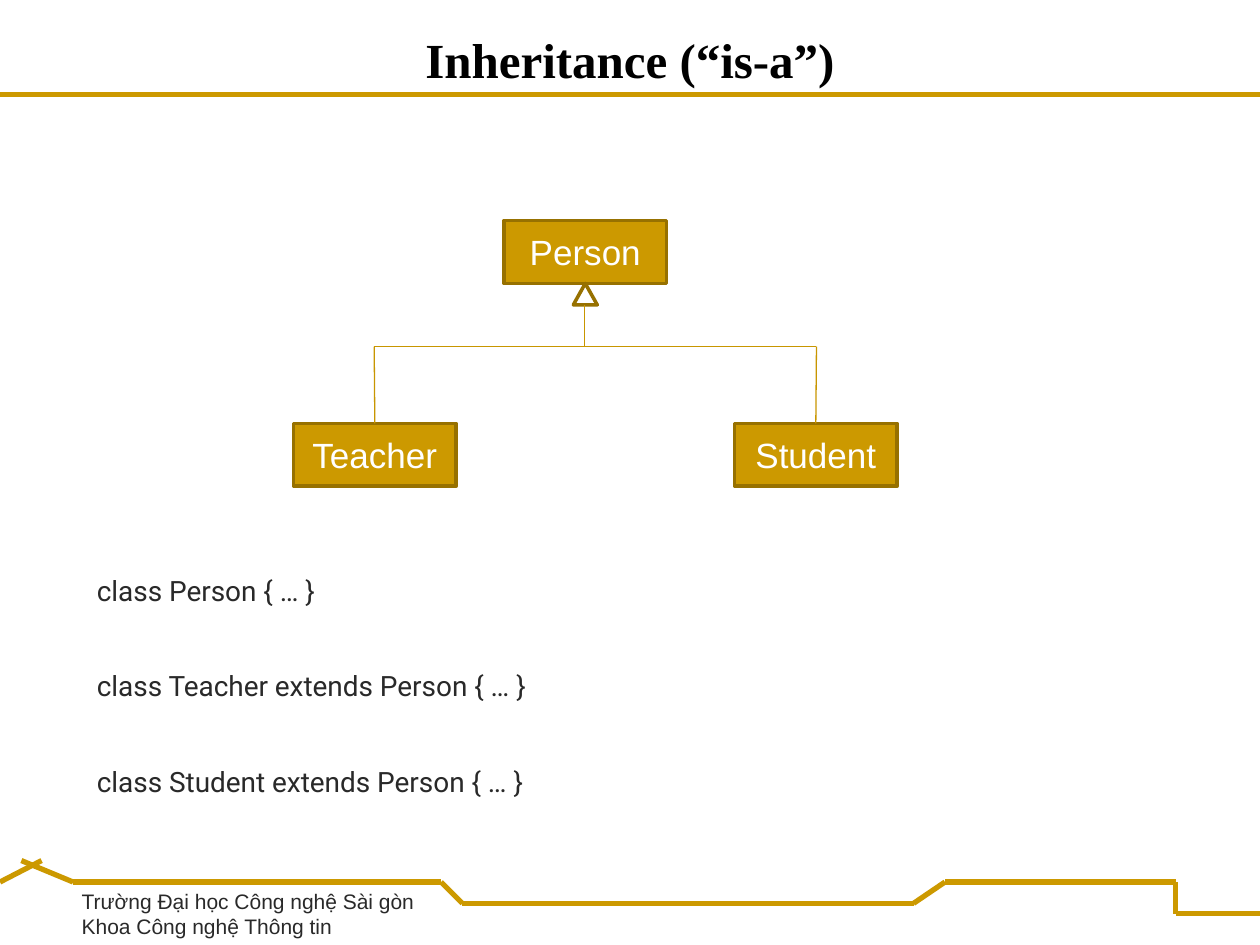
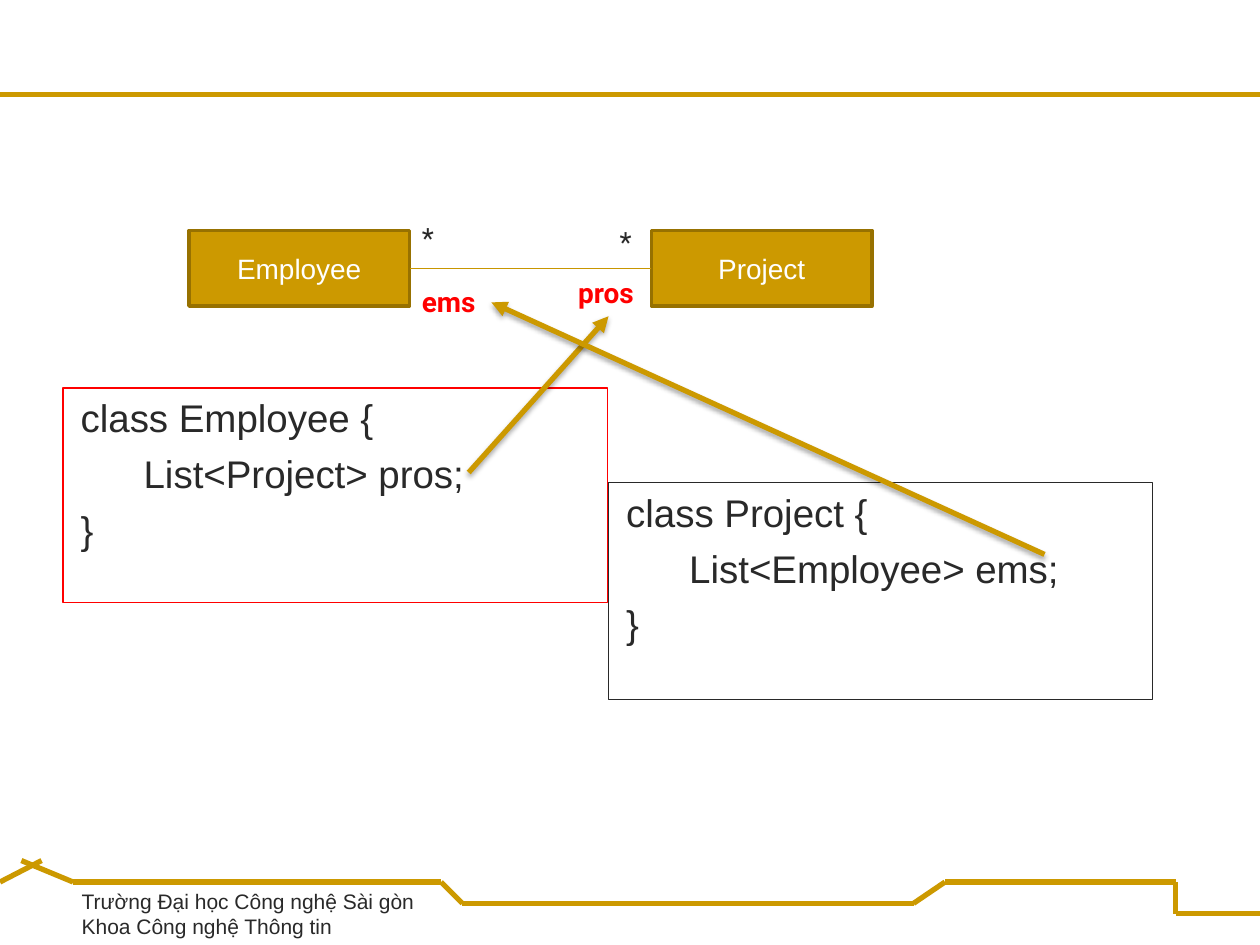
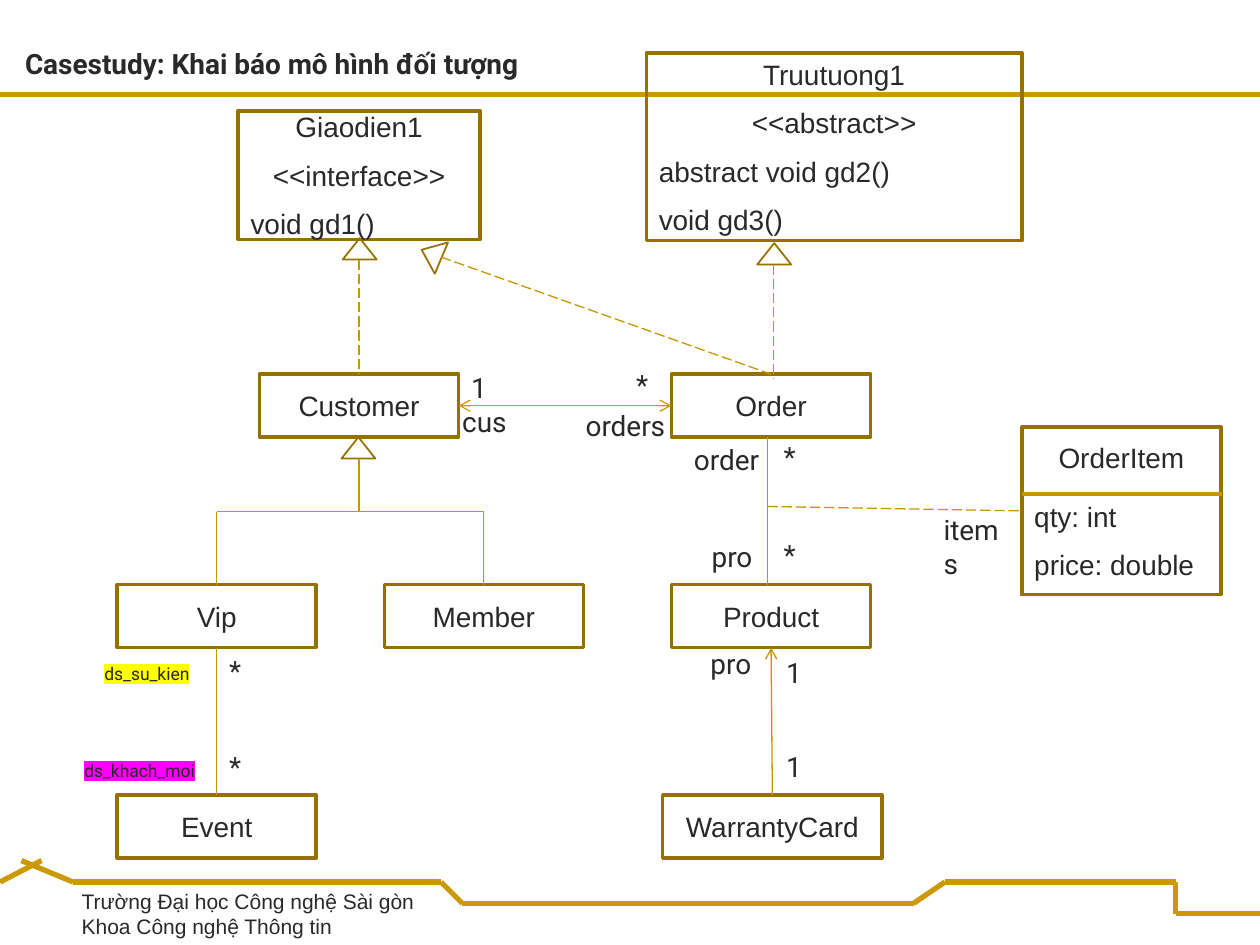
import itertools

import pptx
import pptx.dml.color
import pptx.enum.dml
import pptx.enum.shapes
import pptx.enum.text
import pptx.oxml
import pptx.oxml.ns
import pptx.util

Inches = pptx.util.Inches
Pt = pptx.util.Pt
rgb = pptx.dml.color.RGBColor.from_string
qn = pptx.oxml.ns.qn
Shape = pptx.enum.shapes.MSO_SHAPE
Align = pptx.enum.text.PP_ALIGN
Anchor = pptx.enum.text.MSO_ANCHOR
AutoSize = pptx.enum.text.MSO_AUTO_SIZE

GOLD, DARK_GOLD, LINE_GOLD = "CC9900", "977100", "C89600"
TEXT, WHITE, RED, BLACK = "292929", "FFFFFF", "FF0000", "000000"
NAMESPACE = pptx.oxml.ns.nsdecls("a")
SHADOW = (f'<a:outerShdw {NAMESPACE} blurRad="39370" dist="22860" dir="5400000" rotWithShape="0">'
          '<a:srgbClr val="000000"><a:alpha val="35000"/></a:srgbClr></a:outerShdw>')


def add_box(slide, place, text="", kind=None, fill=None, line=DARK_GOLD, line_width=2,
            size=16, font="Arial", color=TEXT, bold=False, align=Align.CENTER,
            anchor=Anchor.MIDDLE, gap=8.5, wrap=True):
    """Add a preset shape, or a text box when no kind is given."""
    lengths = [Inches(value) for value in place]
    if kind is None:
        shape = slide.shapes.add_textbox(*lengths)
    else:
        shape = slide.shapes.add_shape(kind, *lengths)
        shape.shadow.inherit = False
        shape.line.color.rgb = rgb(line)
        shape.line.width = Pt(line_width)
        if fill:
            shape.fill.solid()
            shape.fill.fore_color.rgb = rgb(fill)
        else:
            shape.fill.background()
    text_frame = shape.text_frame
    text_frame.text = text
    text_frame.word_wrap = wrap
    text_frame.vertical_anchor = anchor
    for index, paragraph in enumerate(text_frame.paragraphs):
        paragraph.alignment = align
        if index:
            paragraph.space_before = Pt(gap)
        for run in paragraph.runs:
            run.font.size = Pt(size)
            run.font.name = font
            run.font.bold = bold
            run.font.color.rgb = rgb(color)
    return shape


def add_line(slide, start, end, color=LINE_GOLD, width=0.75, dashed=False,
             head=None, tail=None, shadow=False):
    """Add a straight line; each end is a point (x, y) or a joint (shape, site)."""
    connector = slide.shapes.add_connector(pptx.enum.shapes.MSO_CONNECTOR.STRAIGHT, 0, 0, 0, 0)
    if isinstance(start[0], (int, float)):
        connector.begin_x, connector.begin_y = map(Inches, start)
    else:
        connector.begin_connect(*start)
    if isinstance(end[0], (int, float)):
        connector.end_x, connector.end_y = map(Inches, end)
    else:
        connector.end_connect(*end)
    connector.line.color.rgb = rgb(color)
    connector.line.width = Pt(width)
    if dashed:
        connector.line.dash_style = pptx.enum.dml.MSO_LINE.LONG_DASH
    outline = connector.line._get_or_add_ln()
    for tag, arrow in (("headEnd", head), ("tailEnd", tail)):
        if arrow:
            outline.append(pptx.oxml.parse_xml(f'<a:{tag} {NAMESPACE} type="{arrow}"/>'))
    effects = pptx.oxml.parse_xml(f"<a:effectLst {NAMESPACE}/>")
    if shadow:
        effects.append(pptx.oxml.parse_xml(SHADOW))
    connector._element.spPr.append(effects)
    return connector


presentation = pptx.Presentation()
presentation.slide_width, presentation.slide_height = Inches(10), Inches(7.5)

# Frame shared by all slides: title rule, footer band and school name
BAND = [(0.17, 6.83), (0.58, 7), (3.5, 7), (3.67, 7.17), (7.25, 7.17),
        (7.5, 7), (9.33, 7), (9.33, 7.25), (10, 7.25)]
FRAME = [((0, 0.75), (10, 0.75)), ((0, 7), (0.33, 6.83)), *itertools.pairwise(BAND)]
for _ in range(3):
    slide = presentation.slides.add_slide(presentation.slide_layouts[6])
    for start, end in FRAME:
        add_line(slide, start, end, GOLD, 3)
    add_box(slide, (0.55, 7, 2.84, 0.5),
            "Trường Đại học Công nghệ Sài gòn\nKhoa Công nghệ Thông tin",
            size=12, align=Align.LEFT, anchor=Anchor.TOP, gap=0, wrap=False)
inheritance, association, casestudy = presentation.slides

label = dict(font="Roboto", align=Align.LEFT, anchor=Anchor.TOP, wrap=False)

# Slide 1: inheritance tree
add_box(inheritance, (0, 0.04, 10, 0.71), "Inheritance (“is-a”)", size=28,
        font="Times New Roman", color=BLACK, bold=True, anchor=Anchor.BOTTOM)
classes = {}
for name, left, top in (("Person", 4, 1.75), ("Teacher", 2.33, 3.36), ("Student", 5.83, 3.36)):
    classes[name] = add_box(inheritance, (left, top, 1.29, 0.5), name, Shape.RECTANGLE,
                            GOLD, size=20, color=WHITE)
add_line(inheritance, (2.97, 2.75), (6.48, 2.75))
add_line(inheritance, (2.97, 2.75), (classes["Teacher"], 0))
add_line(inheritance, (6.48, 2.75), (classes["Student"], 0))
add_box(inheritance, (4.55, 2.25, 0.19, 0.17), kind=Shape.ISOSCELES_TRIANGLE)
add_line(inheritance, (4.64, 2.42), (4.64, 2.75))
add_box(inheritance, (0.67, 4.5, 8.5, 1.62),
        "class Person { … }\nclass Teacher extends Person { … }\n"
        "class Student extends Person { … }",
        font="Roboto", align=Align.LEFT, anchor=Anchor.TOP, gap=35.5)

# Slide 2: many-to-many association
code_boxes = [
    ((0.5, 3.08, 4.32, 1.7), RED, "class Employee {\n\tList<Project> pros;\n}"),
    ((4.83, 3.83, 4.32, 1.72), TEXT, "class Project {\n\tList<Employee> ems;\n}"),
]
for place, outline_color, code in code_boxes:
    code_box = add_box(association, place, code, Shape.RECTANGLE, line=outline_color,
                       line_width=0.75, size=22, align=Align.LEFT, anchor=Anchor.TOP, gap=5.5)
    code_box.text_frame.margin_left = Inches(0.14)
employee, project = [
    add_box(association, (left, 1.83, 1.75, 0.6), name, Shape.RECTANGLE, GOLD, color=WHITE)
    for name, left in (("Employee", 1.5), ("Project", 5.17))]
add_line(association, (project, 1), (employee, 3))
for text, place, color in (
        ("*", (3.25, 1.7, 0.29, 0.37), TEXT), ("*", (4.82, 1.73, 0.29, 0.37), TEXT),
        ("ems", (3.25, 2.21, 0.65, 0.37), RED), ("pros", (4.49, 2.14, 0.69, 0.37), RED)):
    add_box(association, place, text, color=color, bold=color == RED, **label)
for start, end in (((3.72, 3.75), (4.83, 2.51)), ((8.29, 4.4), (3.9, 2.4))):
    add_line(association, start, end, GOLD, 3, tail="triangle", shadow=True)

# Slide 3: class boxes
classes = {}
for name, left, top, width in (
        ("Vip", 0.93, 4.64, 1.58), ("Customer", 2.06, 2.97, 1.58), ("Order", 5.33, 2.97, 1.58),
        ("Member", 3.05, 4.64, 1.58), ("Product", 5.33, 4.64, 1.58),
        ("Event", 0.93, 6.31, 1.58), ("WarrantyCard", 5.26, 6.31, 1.74)):
    classes[name] = add_box(casestudy, (left, top, width, 0.5), name, Shape.RECTANGLE)

# Boxes with members: the heading lines are centred, the members left-aligned
for name, place, text, heading_count in (
        ("OrderItem", (8.11, 3.39, 1.58, 1.33), "OrderItem\nqty: int\nprice: double", 1),
        ("Truutuong1", (5.13, 0.42, 2.98, 1.49),
         "Truutuong1\n<<abstract>>\nabstract void gd2()\nvoid gd3()", 2),
        ("Giaodien1", (1.89, 0.88, 1.92, 1.02), "Giaodien1\n<<interface>>\nvoid gd1()", 2)):
    classes[name] = add_box(casestudy, place, text, Shape.RECTANGLE)
    for paragraph in classes[name].text_frame.paragraphs[heading_count:]:
        paragraph.alignment = Align.LEFT
classes["OrderItem"].text_frame.paragraphs[0].space_after = Pt(6)
add_line(casestudy, (8.11, 3.92), (9.7, 3.92), width=2.25)

# Inheritance and realisation
for left, top, rotation in ((2.71, 3.47, 0), (2.72, 1.89, 0), (6.01, 1.93, 0), (3.29, 1.93, 292.8)):
    triangle = add_box(casestudy, (left, top, 0.27, 0.17), kind=Shape.ISOSCELES_TRIANGLE,
                       line_width=1)
    triangle.rotation = rotation
add_line(casestudy, (1.72, 4.06), (3.84, 4.06))
add_line(casestudy, (1.72, 4.06), (classes["Vip"], 0))
add_line(casestudy, (3.84, 4.06), (classes["Member"], 0))
add_line(casestudy, (2.85, 3.64), (2.85, 4.06))
add_line(casestudy, (2.85, 2.06), (classes["Customer"], 0), dashed=True)
add_line(casestudy, (6.14, 2.1), (6.14, 3.01), dashed=True)
add_line(casestudy, (3.5, 2.04), (classes["Order"], 0), dashed=True)

# Associations
add_line(casestudy, (classes["Vip"], 2), (classes["Event"], 0))
add_line(casestudy, (classes["Product"], 2), (classes["WarrantyCard"], 0), head="arrow")
add_line(casestudy, (6.09, 3.47), (6.09, 4.64))
add_line(casestudy, (classes["Customer"], 3), (classes["Order"], 1), GOLD,
         head="arrow", tail="arrow")
add_line(casestudy, (6.09, 4.02), (classes["OrderItem"], 1), dashed=True)

# Multiplicities and role names
for text, left, top, width in (
        ("1", 3.64, 2.89, 0.33), ("1", 6.14, 5.15, 0.33), ("1", 6.14, 5.9, 0.33),
        ("*", 1.72, 5.14, 0.29), ("*", 1.72, 5.9, 0.29), ("*", 4.95, 2.87, 0.29),
        ("*", 6.12, 3.44, 0.29), ("*", 6.12, 4.22, 0.29),
        ("cus", 3.57, 3.16, 0.55), ("orders", 4.55, 3.19, 0.84), ("pro", 5.54, 5.08, 0.53),
        ("order", 5.41, 3.46, 0.73), ("pro", 5.55, 4.23, 0.53)):
    add_box(casestudy, (left, top, width, 0.37), text, **label)
add_box(casestudy, (7.39, 4.02, 0.72, 0.63), "items", **{**label, "wrap": True})
add_box(casestudy, (0.1, 0.32, 4.49, 0.37), "Casestudy: Khai báo mô hình đối tượng",
        bold=True, **label)

# Highlighted list names
for text, place, highlight in (("ds_su_kien", (0.73, 5.21, 1.03, 0.27), "FFFF00"),
                               ("ds_khach_moi", (0.57, 5.98, 1.15, 0.27), "FF00FF")):
    list_name = add_box(casestudy, place, text, size=10, **{**label, "wrap": True})
    run = list_name.text_frame.paragraphs[0].runs[0]
    run.font._element.find(qn("a:solidFill")).addnext(pptx.oxml.parse_xml(
        f'<a:highlight {NAMESPACE}><a:srgbClr val="{highlight}"/></a:highlight>'))

presentation.save("out.pptx")
